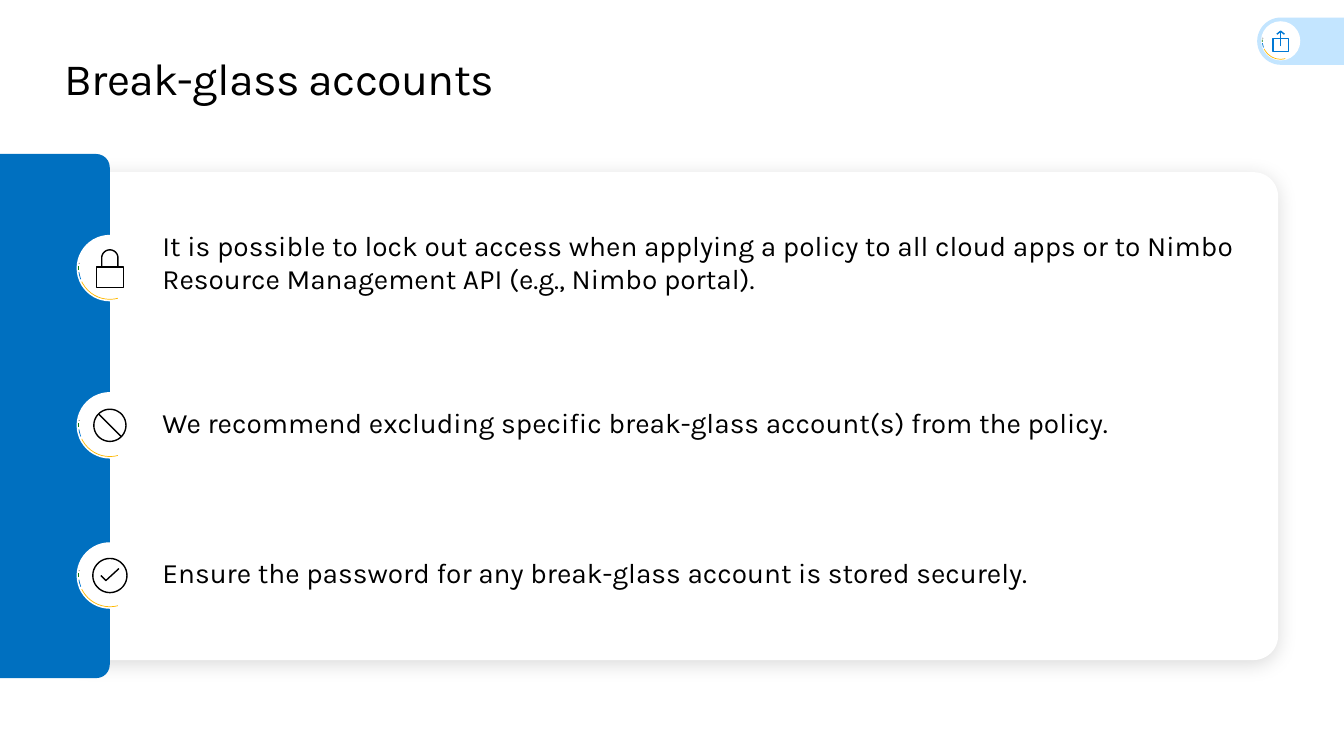
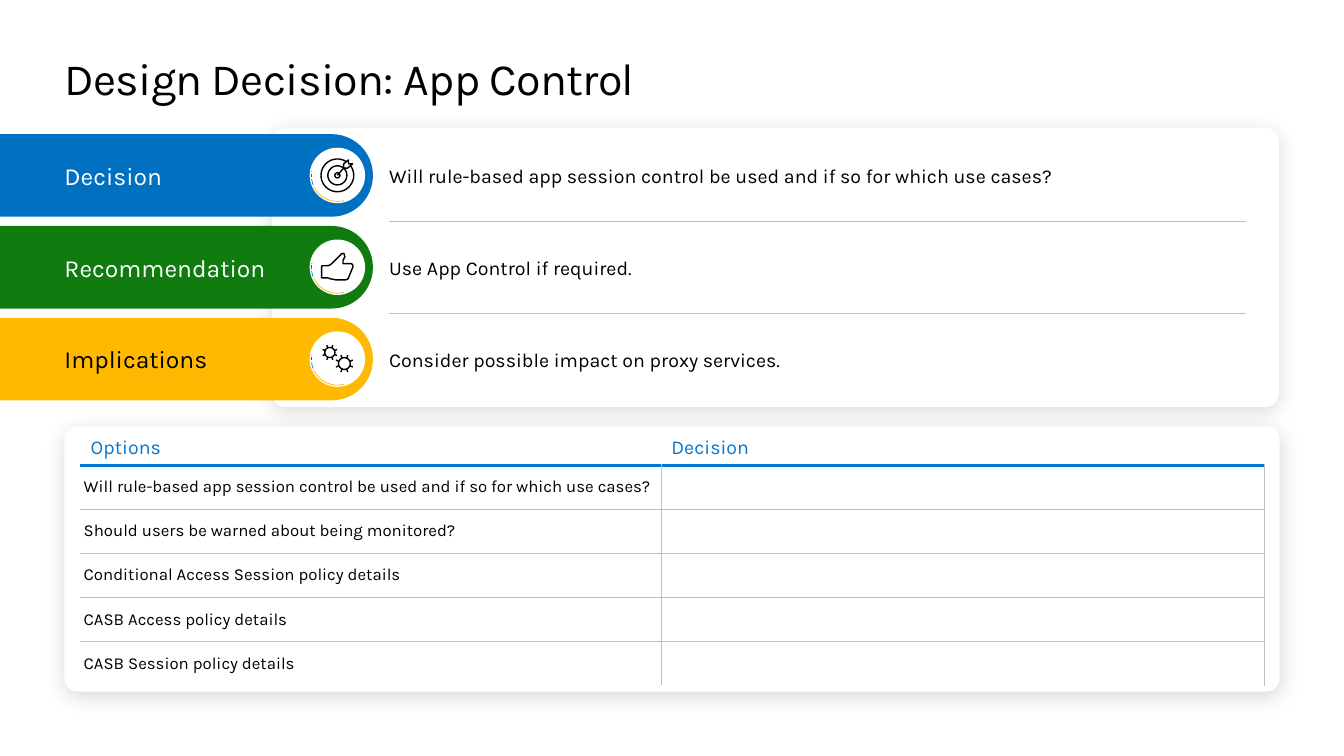
from math import cos, radians, sin

from lxml import etree
from pptx import Presentation
from pptx.dml.color import RGBColor
from pptx.enum.shapes import MSO_CONNECTOR, MSO_SHAPE
from pptx.enum.text import MSO_ANCHOR
from pptx.oxml.ns import qn
from pptx.util import Pt

ARC = MSO_SHAPE.ARC
OVAL = MSO_SHAPE.OVAL
ROUNDED = MSO_SHAPE.ROUNDED_RECTANGLE
TAB = MSO_SHAPE.ROUND_2_SAME_RECTANGLE
STRAIGHT = MSO_CONNECTOR.STRAIGHT
TOP, MIDDLE = MSO_ANCHOR.TOP, MSO_ANCHOR.MIDDLE

BLACK, WHITE, GREY, DOT = "000000", "FFFFFF", "BFBFBF", "737373"
BLUE, SKY, PALE = "0070C0", "0078D4", "C3E5FF"
GREEN, YELLOW = "107C10", "FFB900"

FONT = "Karla"
TITLE = {"name": FONT, "size": Pt(32)}
BODY = {"name": FONT, "size": Pt(20)}
LABEL = {"name": FONT, "size": Pt(17.6)}
DETAIL = {"name": FONT, "size": Pt(14)}
CELL = {"name": FONT, "size": Pt(12)}
CELL_MARGINS = {"margin_left": Pt(2.2), "margin_right": Pt(2.2), "margin_top": 0, "margin_bottom": 0}
FRAME = {"margin_left": 0, "margin_right": 0, "margin_top": 0, "margin_bottom": 0, "word_wrap": True}

MARGIN = 46
RING_ARCS = [(YELLOW, 0, 92.54), (SKY, 83.9, 53.1), (GREEN, 102, 49.11)]

WARNINGS = [
    (191.5, 163, "It is possible to lock out access when applying a policy to all cloud apps or to "
                 "Nimbo Resource Management API (e.g., Nimbo portal)."),
    (303.8, 289.4, "We recommend excluding specific break-glass account(s) from the policy."),
    (411.1, 396.7, "Ensure the password for any break-glass account is stored securely."),
]
USE_QUESTION = "Will rule-based app session control be used and if so for which use cases?"
DECISIONS = [
    ("Decision", BLUE, WHITE, USE_QUESTION),
    ("Recommendation", GREEN, WHITE, "Use App Control if required."),
    ("Implications", YELLOW, BLACK, "Consider possible impact on proxy services."),
]
OPTIONS = [
    USE_QUESTION,
    "Should users be warned about being monitored?",
    "Conditional Access Session policy details",
    "CASB Access policy details",
    "CASB Session policy details",
]


def rgb(color):
    """Turn a hex string into a colour."""
    return RGBColor.from_string(color)


def apply(target, values):
    """Set each format value on the target."""
    for name, value in values.items():
        setattr(target, name, value)


def write(paragraph, text, style, color):
    """Write one styled span and return it."""
    span = paragraph.add_run()
    span.text = text
    apply(span.font, style)
    span.font.color.rgb = rgb(color)
    return span


def add_text(page, left, top, width, height, text, style, color=BLACK, anchor=TOP):
    """Add a text box without insets and return its span."""
    box = page.shapes.add_textbox(Pt(left), Pt(top), Pt(width), Pt(height))
    apply(box.text_frame, FRAME)
    box.text_frame.vertical_anchor = anchor
    return write(box.text_frame.paragraphs[0], text, style, color)


def add_title(page, text):
    """Add the slide title with tightened letters."""
    span = add_text(page, MARGIN, 36, 868, 39, text, TITLE)
    span._r.get_or_add_rPr().set("spc", "-50")


def add_block(page, kind, left, top, width, height, color, adjustments=()):
    """Add a filled shape without outline or shadow."""
    shape = page.shapes.add_shape(kind, Pt(left), Pt(top), Pt(width), Pt(height))
    shape.shadow.inherit = False
    shape.fill.solid()
    shape.fill.fore_color.rgb = rgb(color)
    shape.line.fill.background()
    for index, value in enumerate(adjustments):
        shape.adjustments[index] = value
    return shape


def add_panel(page, left, top, width, height, radius):
    """Add a white rounded panel with a soft shadow."""
    panel = add_block(page, ROUNDED, left, top, width, height, WHITE, [radius])
    effects = panel._element.spPr.find(qn("a:effectLst"))
    shadow = etree.SubElement(effects, qn("a:outerShdw"), blurRad=str(Pt(15)), dist=str(Pt(3)),
                              dir="5400000", algn="t", rotWithShape="0")
    color = etree.SubElement(shadow, qn("a:srgbClr"), val=BLACK)
    etree.SubElement(color, qn("a:alpha"), val="14000")


def add_tab(page, left, top, width, height, color, radius, rotation=90):
    """Add a bar whose right end, or left end at 270 degrees, is rounded."""
    shift = (width - height) / 2
    tab = add_block(page, TAB, left + shift, top - shift, height, width, color, [radius, 0])
    tab.rotation = rotation


def add_outline(shape, color, width):
    """Leave a shape unfilled and draw its outline."""
    shape.shadow.inherit = False
    shape.fill.background()
    shape.line.color.rgb = rgb(color)
    shape.line.width = Pt(width)


def add_icon(page, x, y, strokes, color=BLACK):
    """Draw strokes around a centre point as one freeform."""
    placed = [[(Pt(x + dx), Pt(y + dy)) for dx, dy in stroke] for stroke in strokes]
    builder = page.shapes.build_freeform(*placed[0][0], scale=1.0)
    for index, stroke in enumerate(placed):
        if index:
            builder.move_to(*stroke[0])
        builder.add_line_segments(stroke[1:], close=False)
    add_outline(builder.convert_to_shape(), color, 1)


def add_badge(page, x, y, size, strokes, color=BLACK):
    """Add a white disc with coloured ring arcs and an icon."""
    add_block(page, OVAL, x - size / 2, y - size / 2, size, size, WHITE)
    ring = size * 0.94
    for arc_color, rotation, end in RING_ARCS:
        arc = page.shapes.add_shape(ARC, Pt(x - ring / 2), Pt(y - ring / 2), Pt(ring), Pt(ring))
        arc.adjustments[0] = 45.06
        arc.adjustments[1] = end
        arc.rotation = rotation
        add_outline(arc, arc_color, 0.5)
    add_block(page, OVAL, x - ring / 2, y - size * 0.08, 0.7, 0.7, DOT)
    add_icon(page, x, y, strokes, color)


def add_divider(page, left, right, y):
    """Add a thin grey horizontal line."""
    line = page.shapes.add_connector(STRAIGHT, Pt(left), Pt(y), Pt(right), Pt(y))
    line.line.color.rgb = rgb(GREY)
    line.line.width = Pt(0.5)
    etree.SubElement(line._element.spPr, qn("a:effectLst"))


def curve(x, y, radius, start=0, end=360):
    """List points along a circular arc."""
    angles = [radians(start + (end - start) * step / 36) for step in range(37)]
    return [(x + radius * cos(angle), y + radius * sin(angle)) for angle in angles]


def closed(*points):
    """Return the points with the first repeated at the end."""
    return [*points, points[0]]


def gear(x, y, radius, reach):
    """List the strokes of a gear with eight teeth."""
    angles = [radians(22.5 + 45 * tooth) for tooth in range(8)]
    teeth = [[(x + r * cos(angle), y + r * sin(angle)) for r in (radius, reach)] for angle in angles]
    return [curve(x, y, radius), *teeth]


def lock_icon():
    """List the strokes of a padlock."""
    body = closed((-9.7, -0.7), (9.7, -0.7), (9.7, 13.7), (-9.7, 13.7))
    return [body, [(-5.8, -0.7), *curve(0, -7.2, 5.8, 180, 360), (5.8, -0.7)]]


def target_icon():
    """List the strokes of a target hit by an arrow."""
    feathers = closed((10.9, -8.2), (8, -8.2), (8, -11), (4.5, -8.2), (4.5, -5.2), (7.3, -5.2))
    return [curve(0, 0, 11.7, -36, 304), curve(0, 0, 6.8), curve(0, 0, 1.8),
            [(0, 0), (4.5, -5.2)], feathers]


def thumb_icon():
    """List the strokes of a raised thumb."""
    return [closed((-11.2, -1), (-11.2, 7.6), (-6.8, 7.6), (-4.7, 8.3), (-1.1, 9), (6.1, 9),
                   (7.6, 8.3), (11.2, -0.4), (10.9, -2), (9.7, -2.6), (4, -2.6), (4, -4.7),
                   (5.4, -7.6), (4.7, -9.9), (3.2, -9.7), (-4, -2.5), (-6.1, -1.2))]


def share_icon():
    """List the strokes of an arrow leaving a box."""
    return [[(0, 3.9), (0, -6.9)], [(2.7, -4.7), (0, -6.9), (-2.7, -4.7)],
            closed((-5.5, 7.5), (5.5, 7.5), (5.5, -1.8), (-5.5, -1.8))]


def set_borders(cell, borders):
    """Draw the given cell borders, keyed by side."""
    properties = cell._tc.get_or_add_tcPr()
    for side in "LRTB":
        if side in borders:
            color, width = borders[side]
            line = etree.SubElement(properties, qn(f"a:ln{side}"), w=str(Pt(width)))
            fill = etree.SubElement(line, qn("a:solidFill"))
            etree.SubElement(fill, qn("a:srgbClr"), val=color)


def cell_borders(row, column, last_row):
    """Choose the borders of a cell from its place."""
    rule, accent = (GREY, 0.5), (SKY, 2.25)
    if row == 0:
        return {"B": accent}
    borders = {"L": rule if column else (WHITE, 1), "R": rule, "T": accent if row == 1 else rule}
    if row < last_row:
        borders["B"] = rule
    return borders


def add_options_table(page, left, top, widths, header_height, row_height):
    """Add the table of options with an empty decision column."""
    rows = [("Options", "Decision"), *((option, "") for option in OPTIONS)]
    height = header_height + row_height * len(OPTIONS)
    frame = page.shapes.add_table(len(rows), 2, Pt(left), Pt(top), Pt(sum(widths)), Pt(height))
    table = frame.table
    apply(table, {"first_row": False, "horz_banding": False})
    for column, width in enumerate(widths):
        table.columns[column].width = Pt(width)
    for row, texts in enumerate(rows):
        table.rows[row].height = Pt(row_height if row else header_height)
        for column, text in enumerate(texts):
            cell = table.cell(row, column)
            set_borders(cell, cell_borders(row, column, len(OPTIONS)))
            cell.fill.solid()
            cell.fill.fore_color.rgb = rgb(WHITE)
            cell.vertical_anchor = MIDDLE
            if row:
                apply(cell, CELL_MARGINS)
            if text:
                style, color = (CELL, BLACK) if row else (DETAIL, SKY)
                write(cell.text_frame.paragraphs[0], text, style, color)


def build_accounts(page):
    """Build the slide on break-glass accounts."""
    add_title(page, "Break-glass accounts")
    add_panel(page, MARGIN, 123, 867, 348.5, 0.05)
    add_tab(page, -2, 110, 80.4, 374.4, BLUE, 0.12)
    add_tab(page, 898, 12.5, 62, 33.8, PALE, 0.5, 270)
    add_badge(page, 914.8, 29.2, 28, share_icon(), SKY)
    icons = [
        lock_icon(),
        [curve(0, 0, 11.5), [(8.1, 8.1), (-8.1, -8.1)]],
        [curve(0, 0, 12.2), [(-6.5, 0), (-2.9, 3.6), (6.5, -5)]],
    ]
    for (center, top, text), icon in zip(WARNINGS, icons):
        add_badge(page, 78.5, center, 47.5, icon)
        add_text(page, 116, top, 782, 48, text, BODY)


def build_app_control(page):
    """Build the slide on the app control decision."""
    first, step, bar = 125.3, 65.6, 59
    add_panel(page, MARGIN, 304.5, 868, 189.5, 0.05)
    add_panel(page, 194.4, 91.4, 719, 199.5, 0.05)
    add_title(page, "Design Decision: App Control")
    icons = [target_icon(), thumb_icon(), gear(-5.4, -4.7, 3.6, 5.6) + gear(5, 3.2, 4.2, 6.5)]
    for index, ((label, color, ink, text), icon) in enumerate(zip(DECISIONS, icons)):
        center = first + step * index
        add_tab(page, 0, center - bar / 2, 266.4, bar, color, 0.5)
        add_badge(page, 241, center, 39.6, icon)
        add_text(page, MARGIN, center - 11, 165, 22, label, LABEL, ink, MIDDLE)
        add_text(page, 278, center - 8, 593, 17, text, DETAIL, BLACK, MIDDLE)
        if index:
            add_divider(page, 278, 890, center - step / 2)
    add_options_table(page, 57.6, 308.2, [414.7, 430.5], 23.4, 31.5)


def main():
    """Build and save the deck."""
    deck = Presentation()
    apply(deck, {"slide_width": Pt(960), "slide_height": Pt(540)})
    for build in (build_accounts, build_app_control):
        build(deck.slides.add_slide(deck.slide_layouts[6]))
    deck.save("out.pptx")


if __name__ == "__main__":
    main()
